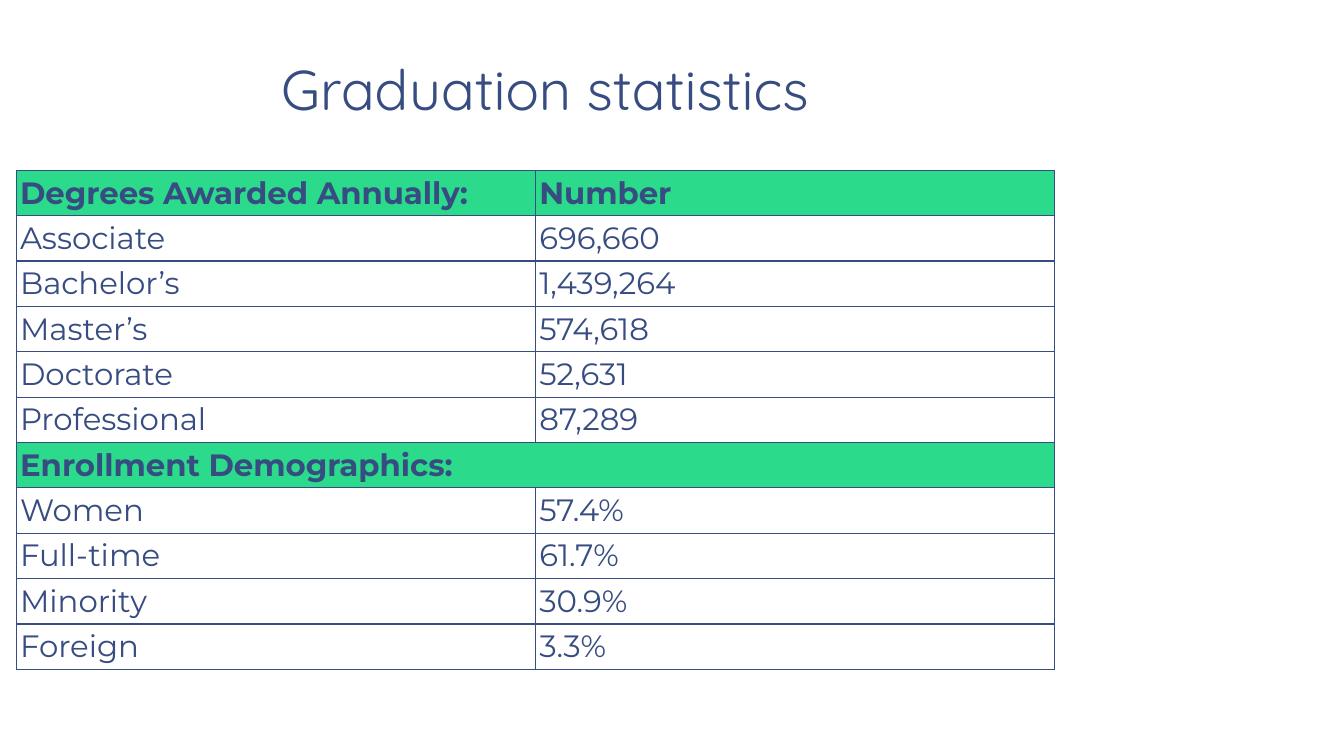
"""Build the graduation statistics slide with its two-section table."""
from pptx import Presentation
from pptx.dml.color import RGBColor
from pptx.enum.text import MSO_ANCHOR, PP_ALIGN
from pptx.oxml.ns import qn
from pptx.util import Inches, Pt
from lxml import etree

BOTTOM, TOP = MSO_ANCHOR.BOTTOM, MSO_ANCHOR.TOP
LEFT = PP_ALIGN.LEFT

TITLE = "Graduation statistics"
SECTIONS = [
    (("Degrees Awarded Annually:", "Number"), [
        ("Associate", "696,660"),
        ("Bachelor’s", "1,439,264"),
        ("Master’s", "574,618"),
        ("Doctorate", "52,631"),
        ("Professional", "87,289"),
    ]),
    (("Enrollment Demographics:",), [
        ("Women", "57.4%"),
        ("Full-time", "61.7%"),
        ("Minority", "30.9%"),
        ("Foreign", "3.3%"),
    ]),
]

THEME = {
    "ink": "374C81", "heading_fill": "2CDA8C",
    "title_font": "Quicksand", "title_size": 40,
    "table_font": "Montserrat", "table_size": 22,
    "border": 1,
}
SLIDE_SIZE = (13.33, 7.5)
TITLE_BOX = (2.66, 0.17, 7.03, 1.11)
TABLE_LEFT, TABLE_TOP = 0.16, 1.69
COLUMN_WIDTH, ROW_HEIGHT = 5.15, 0.45
TITLE_FORMAT = {
    "word_wrap": True, "vertical_anchor": BOTTOM,
    "margin_left": Inches(0.13), "margin_right": Inches(0.13),
    "margin_top": Inches(0.07), "margin_bottom": Inches(0.07),
}
CELL_FORMAT = {
    "vertical_anchor": TOP,
    "margin_left": Inches(0.04), "margin_right": Inches(0.04),
    "margin_top": Inches(0.04), "margin_bottom": Inches(0.03),
}


def apply(target, formats):
    for name, value in formats.items():
        setattr(target, name, value)


def write(paragraph, text, role, bold=False):
    paragraph.alignment = LEFT
    run = paragraph.add_run()
    run.text = text
    apply(run.font, {"name": THEME[f"{role}_font"],
                     "size": Pt(THEME[f"{role}_size"]), "bold": bold})
    run.font.color.rgb = RGBColor.from_string(THEME["ink"])


def add_borders(cell):
    properties = cell._tc.get_or_add_tcPr()
    for index, side in enumerate(("lnL", "lnR", "lnT", "lnB")):
        border = etree.Element(qn(f"a:{side}"), w=str(Pt(THEME["border"])))
        fill = etree.SubElement(border, qn("a:solidFill"))
        etree.SubElement(fill, qn("a:srgbClr"), val=THEME["ink"])
        properties.insert(index, border)


def style_cell(cell, is_heading):
    apply(cell, CELL_FORMAT)
    if is_heading:
        cell.fill.solid()
        cell.fill.fore_color.rgb = RGBColor.from_string(THEME["heading_fill"])
    else:
        cell.fill.background()
    add_borders(cell)


def add_title(slide):
    frame = slide.shapes.add_textbox(*map(Inches, TITLE_BOX)).text_frame
    apply(frame, TITLE_FORMAT)
    heading = frame.paragraphs[0]
    heading.line_spacing = 0.85
    write(heading, TITLE, "title")


def add_statistics(slide):
    rows = [(texts, texts is heading)
            for heading, entries in SECTIONS for texts in (heading, *entries)]
    columns = max(len(texts) for texts, _ in rows)
    box = (TABLE_LEFT, TABLE_TOP, columns * COLUMN_WIDTH, len(rows) * ROW_HEIGHT)
    statistics = slide.shapes.add_table(
        len(rows), columns, *map(Inches, box)).table
    apply(statistics, {"first_row": False, "horz_banding": False})
    for index, (texts, is_heading) in enumerate(rows):
        statistics.rows[index].height = Inches(ROW_HEIGHT)
        cells = [statistics.cell(index, column) for column in range(columns)]
        for cell in cells:
            style_cell(cell, is_heading)
        if len(texts) < columns:
            cells[len(texts) - 1].merge(cells[-1])
        for cell, text in zip(cells, texts):
            write(cell.text_frame.paragraphs[0], text, "table", is_heading)


def main():
    deck = Presentation()
    deck.slide_width, deck.slide_height = map(Inches, SLIDE_SIZE)
    slide = deck.slides.add_slide(deck.slide_layouts[6])
    add_statistics(slide)
    add_title(slide)
    deck.save("out.pptx")


if __name__ == "__main__":
    main()
